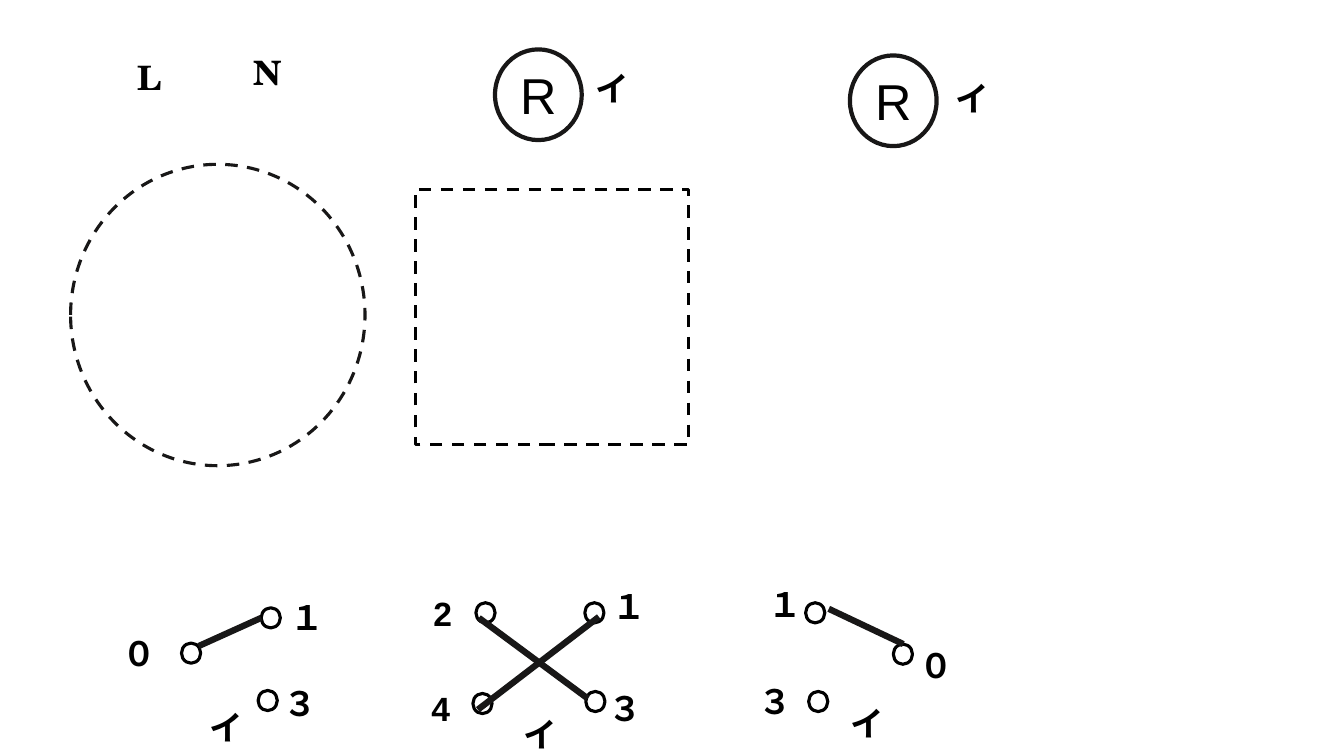
from pptx import Presentation
from pptx.dml.color import RGBColor
from pptx.enum.dml import MSO_LINE
from pptx.enum.shapes import MSO_CONNECTOR, MSO_SHAPE
from pptx.enum.text import MSO_ANCHOR, MSO_AUTO_SIZE, PP_ALIGN
from pptx.oxml.ns import qn
from pptx.util import Inches, Pt
from lxml import etree

# Content: every length is in columns and rows of a 0.1 inch grid
COLUMNS, ROWS, CELL = 133.3, 75, 0.1
BLACK, INK, WHITE = "000000", "181717", "FFFFFF"
SANS, SERIF = "Arial", "TeX Gyre Schola"

LAMP_SIZE = (8.6, 9)
LAMPS = [(49.1, 4.9), (84.3, 5.5)]

# Dashed outlines: shape, column, row, width, height, line, fill
BOXES = [
    (MSO_SHAPE.OVAL, 7, 16.3, 29.2, 29.9, INK, WHITE),
    (MSO_SHAPE.RECTANGLE, 41.2, 18.8, 27.1, 25.3, BLACK, None),
]

CONTACT_SIZE = (1.9, 2)
CONTACTS = [
    (25.9, 60.3), (18, 63.8), (25.6, 68.5),              # left switch
    (47.2, 59.8), (58, 59.8), (58.1, 68.6), (46.9, 68.8),  # middle switch
    (88.6, 63.9), (79.9, 59.8), (80.2, 68.6),            # right switch
]

# Switch blades: start column, row, end column, row
BLADES = [
    (25.9, 61.3, 19.7, 64.1),
    (58.3, 69.3, 47.5, 61.3),
    (59.4, 61.2, 47.4, 70.4),
    (89.6, 63.9, 82.2, 60.4),
]

# Label kinds: text -> box width, wraps, font
LABEL_HEIGHT = 5
LABEL_KINDS = {
    "L": (4.3, False, SERIF),
    "N": (4.8, False, SERIF),
    "イ": (6.2, False, SERIF),
    "１": (5.4, False, SERIF),
    "０": (6.7, True, SERIF),
    "３": (6.7, True, SERIF),
    "2": (6.7, True, SANS),
    "4": (6.7, True, SANS),
}
LABEL_PLACES = {
    "L": [(12.7, 5.2)],
    "N": [(24.2, 4.7)],
    "イ": [(58.1, 6.2), (93.8, 7.2), (19.8, 69.6), (50.9, 70.3), (83.4, 69.2)],
    "１": [(27.8, 58.7), (59.8, 57.6), (75.2, 57.4)],
    "０": [(11.2, 62.3), (90.2, 63.5)],
    "３": [(27.1, 67.3), (59.4, 67.8), (74.2, 67.1)],
    "2": [(42, 58.3)],
    "4": [(41.8, 67.8)],
}


def grid(*cells):
    return [Inches(round(cell * CELL, 2)) for cell in cells]


def color(hex_code):
    return RGBColor.from_string(hex_code)


def set_font(paragraph, name, size, bold=False):
    font = paragraph.font
    font.name, font.size, font.bold = name, Pt(size), bold
    font.color.rgb = color(BLACK)


def add_outline(kind, place, size, line, weight, fill=None):
    outline = slide.shapes.add_shape(kind, *grid(*place, *size))
    outline.shadow.inherit = False
    if fill:
        outline.fill.solid()
        outline.fill.fore_color.rgb = color(fill)
    else:
        outline.fill.background()
    outline.line.color.rgb = color(line)
    outline.line.width = Pt(weight)
    return outline


def add_lamp(place):
    lamp = add_outline(MSO_SHAPE.OVAL, place, LAMP_SIZE, INK, 3, WHITE)
    frame = lamp.text_frame
    frame.vertical_anchor = MSO_ANCHOR.MIDDLE
    letter = frame.paragraphs[0]
    letter.text, letter.alignment = "R", PP_ALIGN.CENTER
    set_font(letter, SANS, 36)


def add_blade(*ends):
    blade = slide.shapes.add_connector(MSO_CONNECTOR.STRAIGHT, *grid(*ends))
    blade.line.color.rgb = color(INK)
    blade.line.width = Pt(4.5)
    etree.SubElement(blade._element.spPr, qn("a:effectLst"))


def add_label(text, place):
    width, wraps, font_name = LABEL_KINDS[text]
    label = slide.shapes.add_textbox(*grid(*place, width, LABEL_HEIGHT))
    frame = label.text_frame
    frame.word_wrap = wraps
    frame.auto_size = MSO_AUTO_SIZE.SHAPE_TO_FIT_TEXT
    frame.paragraphs[0].text = text
    set_font(frame.paragraphs[0], font_name, 24, bold=True)


prs = Presentation()
prs.slide_width, prs.slide_height = grid(COLUMNS, ROWS)
slide = prs.slides.add_slide(prs.slide_layouts[6])

# Lamps and dashed boxes
for lamp_place in LAMPS:
    add_lamp(lamp_place)
for kind, column, row, width, height, line, fill in BOXES:
    box = add_outline(kind, (column, row), (width, height), line, 2.25, fill)
    box.line.dash_style = MSO_LINE.DASH

# Switches
for contact_place in CONTACTS:
    add_outline(MSO_SHAPE.OVAL, contact_place, CONTACT_SIZE, BLACK, 2.25)
for blade_ends in BLADES:
    add_blade(*blade_ends)

# Labels
for label_text, places in LABEL_PLACES.items():
    for label_place in places:
        add_label(label_text, label_place)

prs.save("out.pptx")
